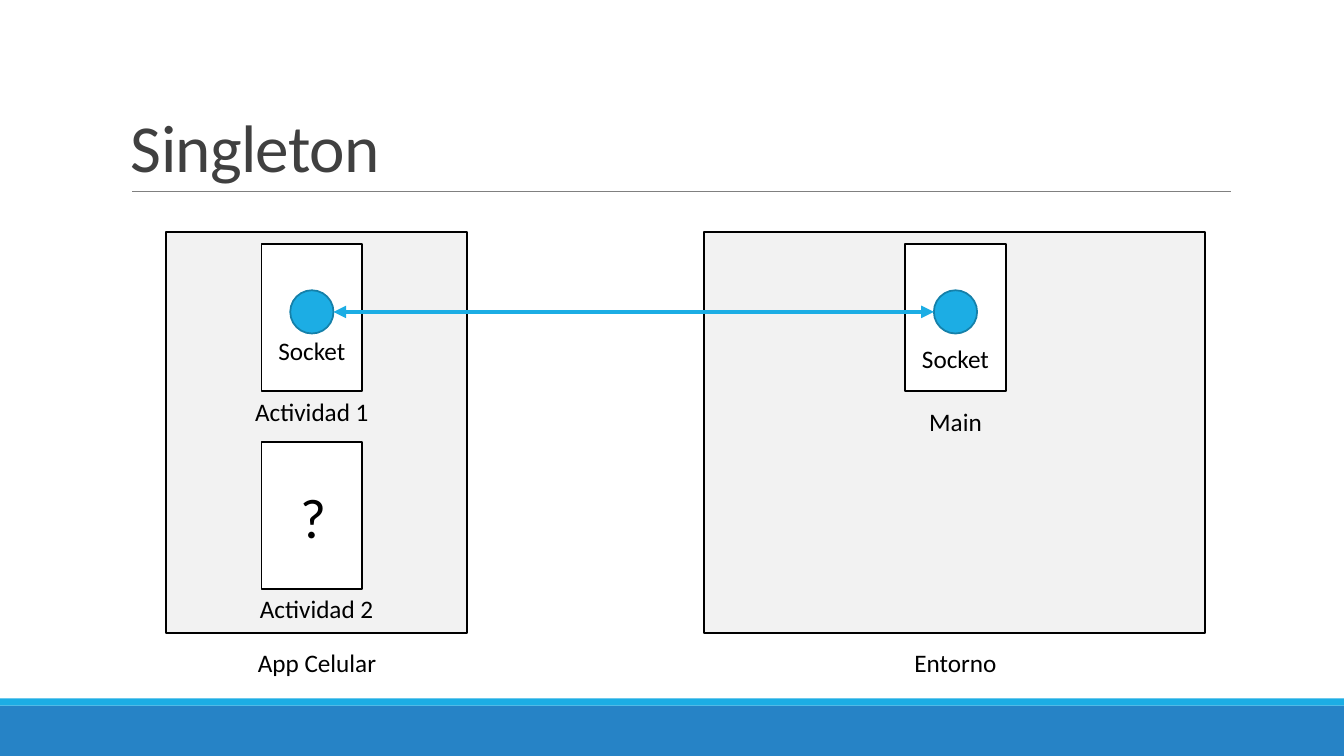
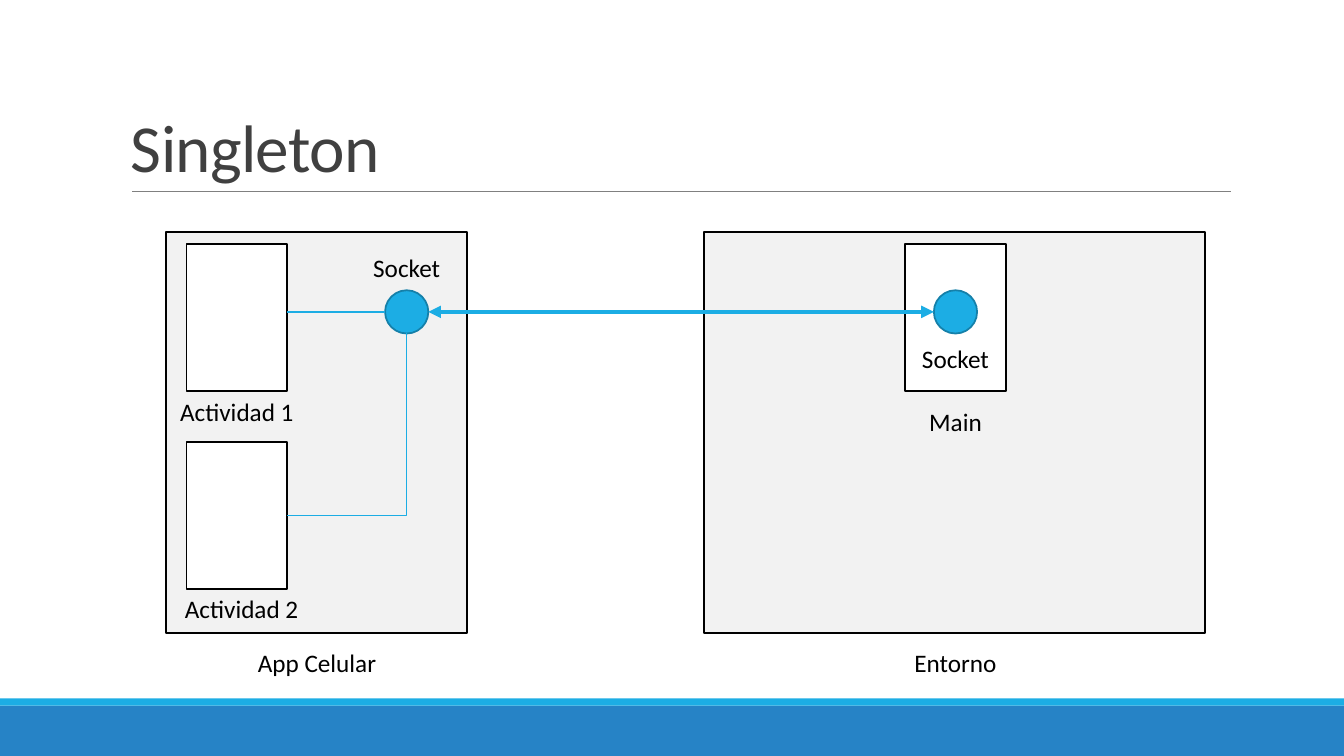
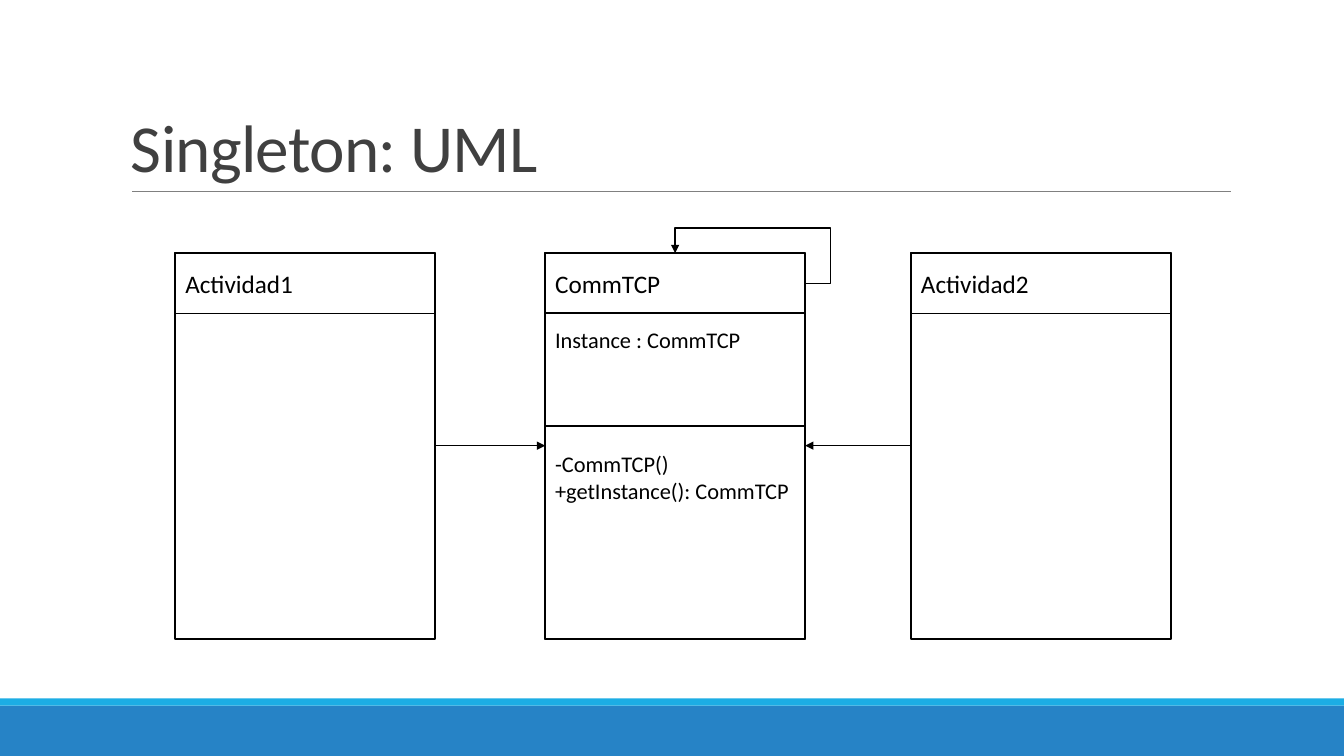
from lxml import etree
from pptx import Presentation
from pptx import util as u
from pptx.dml.color import RGBColor
from pptx.enum import shapes, text
from pptx.oxml import ns

BLACK = RGBColor(0x00, 0x00, 0x00)
WHITE = RGBColor(0xFF, 0xFF, 0xFF)
PANEL = RGBColor(0xF2, 0xF2, 0xF2)
TITLE = RGBColor(0x40, 0x40, 0x40)
RULE = RGBColor(0x80, 0x80, 0x80)
BLUE = RGBColor(0x26, 0x83, 0xC6)
CYAN = RGBColor(0x1C, 0xAD, 0xE4)
CYAN_EDGE = RGBColor(0x15, 0x80, 0xA9)

FONT = "Calibri"
SLIDE_W, SLIDE_H = 33.87, 19.05
RECT = shapes.MSO_SHAPE.RECTANGLE
OVAL = shapes.MSO_SHAPE.OVAL
LEFT, CENTER = text.PP_ALIGN.LEFT, text.PP_ALIGN.CENTER
TOP, MIDDLE, BOTTOM = text.MSO_ANCHOR.TOP, text.MSO_ANCHOR.MIDDLE, text.MSO_ANCHOR.BOTTOM


def write(frame, words, size=18, color=BLACK, align=LEFT, anchor=TOP,
          spacing=None, tracking=None, inset_top=0.13):
    """Fill a text frame, one paragraph per line of words."""
    frame.word_wrap = True
    frame.vertical_anchor = anchor
    frame.margin_top = u.Cm(inset_top)
    for number, line in enumerate(words.split("\n")):
        paragraph = frame.add_paragraph() if number else frame.paragraphs[0]
        paragraph.alignment = align
        if spacing:
            paragraph.line_spacing = spacing
        run = paragraph.add_run()
        run.text = line
        run.font.name = FONT
        run.font.size = u.Pt(size)
        run.font.color.rgb = color
        if tracking:
            run.font._element.set("spc", str(tracking))


class Deck:
    """Shared style, the current slide and its elements; lengths in cm."""

    def __init__(self):
        self.prs = Presentation()
        self.prs.slide_width = u.Cm(SLIDE_W)
        self.prs.slide_height = u.Cm(SLIDE_H)
        self.slide = None

    def new_slide(self, title):
        self.slide = self.prs.slides.add_slide(self.prs.slide_layouts[6])
        self.box(0, 17.78, SLIDE_W, 1.27, fill=BLUE, edge=None)
        self.box(0, 17.6, SLIDE_W, 0.18, fill=CYAN, edge=None)
        self.line((3.33, 4.82), (31.01, 4.82), color=RULE, width=0.5)
        self.label(title, 17.02, 0.79, 27.94, 4.04, size=48, color=TITLE,
                   align=LEFT, anchor=BOTTOM, spacing=0.85, tracking=-50)

    def box(self, left, top, width, height, kind=RECT, fill=WHITE, edge=BLACK):
        shape = self.slide.shapes.add_shape(
            kind, u.Cm(left), u.Cm(top), u.Cm(width), u.Cm(height))
        shape.shadow.inherit = False
        shape.fill.solid()
        shape.fill.fore_color.rgb = fill
        if edge is None:
            shape.line.fill.background()
        else:
            shape.line.color.rgb = edge
            shape.line.width = u.Pt(1.25)
        return shape

    def label(self, words, center, top, width=6.43, height=1.02, align=CENTER, **style):
        area = self.slide.shapes.add_textbox(
            u.Cm(center - width / 2), u.Cm(top), u.Cm(width), u.Cm(height))
        write(area.text_frame, words, align=align, **style)

    def line(self, start, end, color=BLACK, width=1, head=False, tail=False,
             bend=None, adjust=()):
        kind = shapes.MSO_CONNECTOR.ELBOW if bend else shapes.MSO_CONNECTOR.STRAIGHT
        link = self.slide.shapes.add_connector(
            kind, *(u.Cm(length) for length in (*start, *end)))
        link.line.color.rgb = color
        link.line.width = u.Pt(width)
        properties = link._element.spPr
        outline = properties.find(ns.qn("a:ln"))
        for wanted, tag in ((head, "a:headEnd"), (tail, "a:tailEnd")):
            if wanted:
                etree.SubElement(outline, ns.qn(tag), type="triangle")
        etree.SubElement(properties, ns.qn("a:effectLst"))
        if bend:
            geometry = properties.find(ns.qn("a:prstGeom"))
            geometry.set("prst", bend)
            guides = geometry.find(ns.qn("a:avLst"))
            for number, value in enumerate(adjust, 1):
                etree.SubElement(guides, ns.qn("a:gd"), name=f"adj{number}",
                                 fmla=f"val {value}")
        return link

    def socket(self, center, label_top):
        self.box(center - SOCKET / 2, SOCKET_Y - SOCKET / 2, SOCKET, SOCKET,
                 kind=OVAL, fill=CYAN, edge=CYAN_EDGE)
        self.label("Socket", center, label_top, width=5.36)

    def screen(self, center, top):
        self.box(center - SCREEN_W / 2, top, SCREEN_W, SCREEN_H)

    def programs(self, activity_x, socket_x, socket_label_top):
        """Phone app and desktop program joined by their sockets."""
        self.box(4.19, 5.84, 7.59, 10.11, fill=PANEL)
        self.box(17.75, 5.84, 12.62, 10.11, fill=PANEL)
        self.label("App Celular", APP_X, 16.18)
        self.label("Entorno", DESKTOP_X, 16.18)
        # Activities
        for top in ACTIVITY_TOPS:
            self.screen(activity_x, top)
        self.label("Actividad 1", activity_x, 9.86)
        self.label("Actividad 2", activity_x + 0.12, 14.81)
        # Desktop program
        self.screen(DESKTOP_X, ACTIVITY_TOPS[0])
        self.label("Main", DESKTOP_X, 10.11)
        # Sockets and their link
        self.socket(DESKTOP_X, 8.53)
        self.socket(socket_x, socket_label_top)
        self.line((socket_x + SOCKET / 2, SOCKET_Y), (DESKTOP_X - SOCKET / 2, SOCKET_Y),
                  color=CYAN, width=3, head=True, tail=True)

    def uml_class(self, left, name):
        self.box(left, CLASS_TOP, CLASS_W, CLASS_H)
        return self.section(left, CLASS_TOP, 1.52, name, anchor=MIDDLE)

    def section(self, left, top, height, words, **style):
        part = self.box(left, top, CLASS_W, height)
        write(part.text_frame, words, **style)
        return part


# Measures of the diagrams
APP_X, DESKTOP_X = 7.99, 24.08
SCREEN_W, SCREEN_H = 2.54, 3.71
ACTIVITY_TOPS = (6.15, 11.13)
SOCKET, SOCKET_Y = 1.09, 7.86
CLASS_TOP, CLASS_W, CLASS_H = 6.38, 6.55, 9.73

deck = Deck()

# Slide 1: the socket belongs to one activity
deck.new_slide("Singleton")
deck.programs(activity_x=7.86, socket_x=7.86, socket_label_top=8.33)
deck.label("?", 7.86, 12.04, width=1.09, height=1.96, size=40)

# Slide 2: both activities share the socket
deck.new_slide("Singleton")
activity_x, shared_x = 5.97, 10.25
deck.programs(activity_x, shared_x, socket_label_top=6.22)
activity_edge = activity_x + SCREEN_W / 2
deck.line((shared_x - SOCKET / 2, SOCKET_Y), (activity_edge, SOCKET_Y), color=CYAN)
deck.line((activity_edge, ACTIVITY_TOPS[1] + SCREEN_H / 2),
          (shared_x, SOCKET_Y + SOCKET / 2), color=CYAN, bend="bentConnector2")

# Slide 3: class diagram
deck.new_slide("Singleton: UML")
first_x, comm_x, second_x = 4.42, 13.74, 22.96
deck.uml_class(first_x, "Actividad1")
deck.uml_class(second_x, "Actividad2")
comm_header = deck.uml_class(comm_x, "CommTCP")
deck.section(comm_x, 7.88, 2.85, "Instance : CommTCP", size=16, inset_top=0.35)
deck.section(comm_x, 10.74, 5.37, "-CommTCP()\n+getInstance(): CommTCP",
             size=16, inset_top=0.61)

# Associations
deck.line((first_x + CLASS_W, 11.23), (comm_x, 11.23), tail=True)
deck.line((second_x, 11.23), (comm_x + CLASS_W, 11.23), tail=True)
own_instance = deck.line((comm_x + CLASS_W, CLASS_TOP + 0.76),
                         (comm_x + CLASS_W / 2, CLASS_TOP), tail=True,
                         bend="bentConnector4", adjust=(-19400, 183000))
own_instance.begin_connect(comm_header, 3)
own_instance.end_connect(comm_header, 0)

deck.prs.save("out.pptx")
